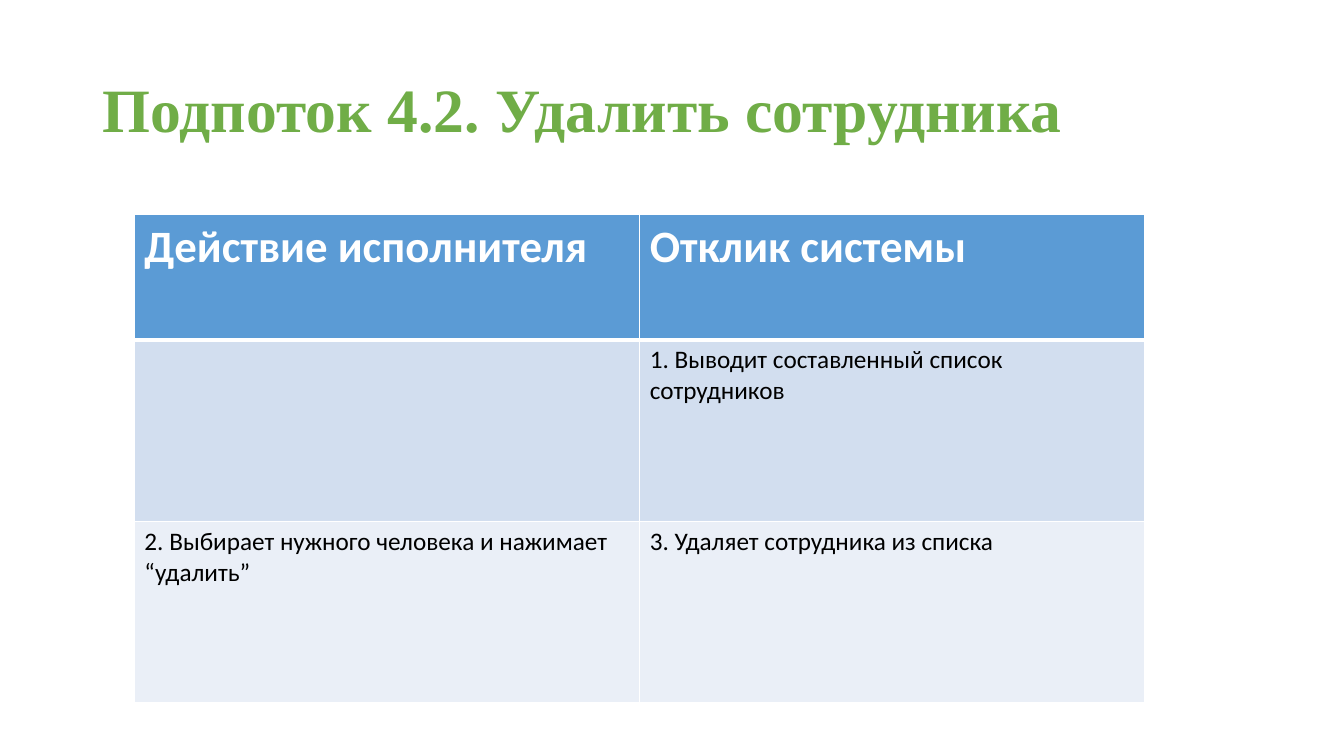
from lxml import etree
from pptx import Presentation
from pptx.dml.color import RGBColor
from pptx.enum.text import MSO_ANCHOR, PP_ALIGN
from pptx.oxml.ns import qn
from pptx.util import Inches, Pt

LEFT = PP_ALIGN.LEFT
MIDDLE = MSO_ANCHOR.MIDDLE

SLIDE_WIDTH, SLIDE_HEIGHT = Inches(13.33), Inches(7.5)
COLORS = {
    "title": "70AD47",
    "header": "5B9BD5",
    "band_dark": "D2DEEF",
    "band_light": "EAEFF7",
    "border": "FFFFFF",
    "header_text": "FFFFFF",
    "body_text": "000000",
}
TITLE_FONT = {"name": "Times New Roman", "size": Pt(44), "bold": True}
HEADER_FONT = {"name": "Calibri", "size": Pt(32), "bold": True}
BODY_FONT = {"name": "Calibri", "size": Pt(18), "bold": False}

TITLE_BOX = (0.069, 0.053, 0.863, 0.193)
TABLE_BOX = (0.1, 0.284, 0.752, 0.646)
ROW_SHARES = (0.256, 0.372, 0.372)
TITLE = "Подпоток 4.2. Удалить сотрудника"
STEPS = (
    ("Действие исполнителя", "Отклик системы"),
    ("", "1. Выводит составленный список сотрудников"),
    ("2. Выбирает нужного человека и нажимает\n“удалить”", "3. Удаляет сотрудника из списка"),
)


def to_emu(box):
    """Turn shares of the slide into left, top, width and height."""
    sides = (SLIDE_WIDTH, SLIDE_HEIGHT) * 2
    return [int(share * side) for share, side in zip(box, sides)]


def style_paragraph(paragraph, font_format, color):
    """Apply font values and a colour to a paragraph and its runs."""
    for font in [paragraph.font] + [run.font for run in paragraph.runs]:
        for attribute, value in font_format.items():
            setattr(font, attribute, value)
        font.color.rgb = RGBColor.from_string(COLORS[color])


def add_title(slide, box):
    """Place the heading in the title placeholder."""
    heading = slide.shapes.title
    heading.left, heading.top, heading.width, heading.height = to_emu(box)
    heading.text_frame.text = TITLE
    heading.text_frame.vertical_anchor = MIDDLE
    paragraph = heading.text_frame.paragraphs[0]
    paragraph.alignment = LEFT
    paragraph.line_spacing = 0.9
    style_paragraph(paragraph, TITLE_FONT, "title")


def set_borders(cell, widths):
    """Draw the cell's borders with widths in points per side."""
    properties = cell._tc.get_or_add_tcPr()
    for index, side in enumerate("LRTB"):
        line = etree.Element(qn(f"a:ln{side}"), w=str(Pt(widths[side])))
        fill = etree.SubElement(line, qn("a:solidFill"))
        etree.SubElement(fill, qn("a:srgbClr"), val=COLORS["border"])
        properties.insert(index, line)


def add_steps_table(slide, box):
    """Lay out the actor's actions beside the system's responses."""
    left, top, width, height = to_emu(box)
    table = slide.shapes.add_table(len(STEPS), len(STEPS[0]), left, top, width, height).table
    for row, share in zip(table.rows, ROW_SHARES):
        row.height = int(height * share)
    for row_index, step in enumerate(STEPS):
        is_header = row_index == 0
        band = "header" if is_header else ("band_light", "band_dark")[row_index % 2]
        font_format = HEADER_FONT if is_header else BODY_FONT
        text_color = "header_text" if is_header else "body_text"
        widths = {"L": 1, "R": 1, "T": 3 if row_index == 1 else 1, "B": 3 if is_header else 1}
        for column_index, wording in enumerate(step):
            cell = table.cell(row_index, column_index)
            cell.text = wording
            cell.fill.solid()
            cell.fill.fore_color.rgb = RGBColor.from_string(COLORS[band])
            set_borders(cell, widths)
            for paragraph in cell.text_frame.paragraphs:
                style_paragraph(paragraph, font_format, text_color)


def main():
    """Build the slide and save it."""
    deck = Presentation()
    deck.slide_width, deck.slide_height = SLIDE_WIDTH, SLIDE_HEIGHT
    slide = deck.slides.add_slide(deck.slide_layouts[5])
    add_title(slide, TITLE_BOX)
    add_steps_table(slide, TABLE_BOX)
    deck.save("out.pptx")


if __name__ == "__main__":
    main()
